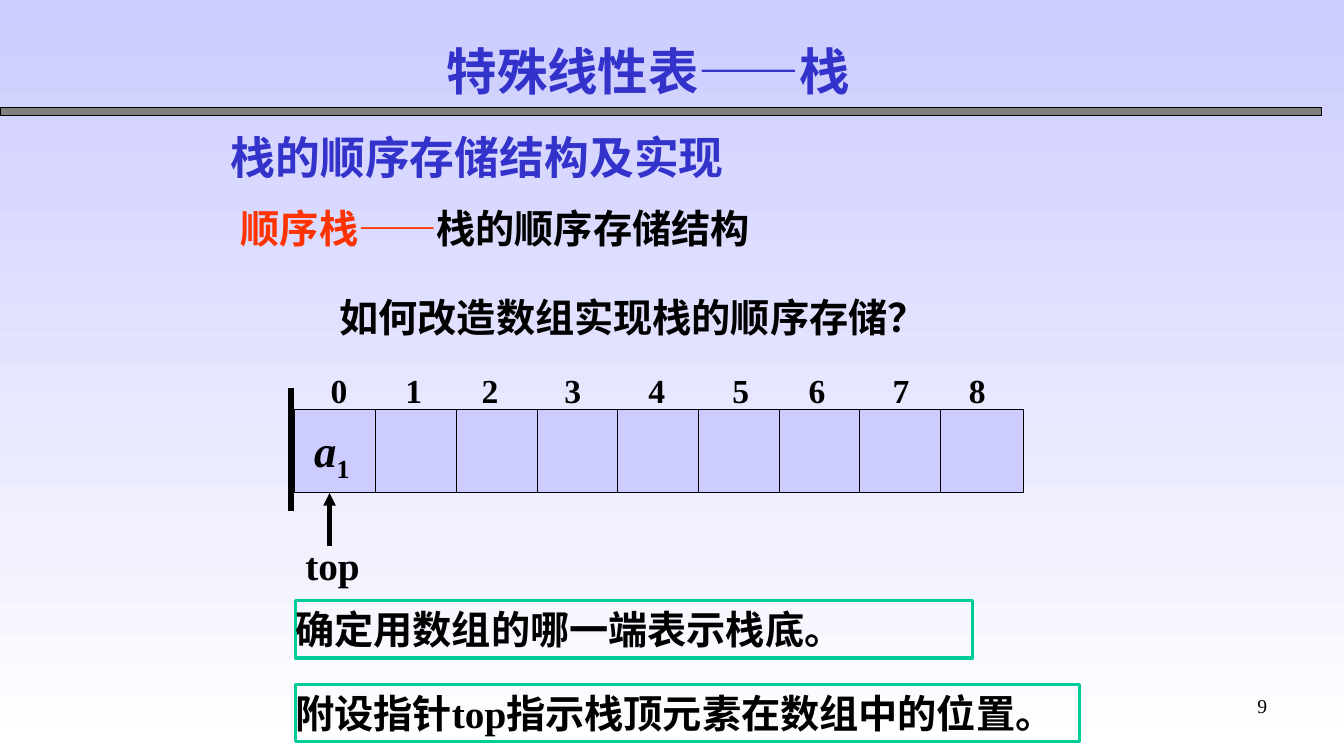
from lxml import etree
from pptx import Presentation
from pptx.dml.color import RGBColor
from pptx.enum import shapes, text
from pptx.oxml.ns import qn
from pptx.util import Pt

BLACK = RGBColor(0, 0, 0)
GRAY = RGBColor(0x80, 0x80, 0x80)
BLUE = RGBColor(0x33, 0x33, 0xCC)
RED = RGBColor(0xFF, 0x33, 0x00)
GREEN = RGBColor(0x00, 0xCC, 0x99)
LAVENDER = RGBColor(0xCC, 0xCC, 0xFF)
WHITE = RGBColor(0xFF, 0xFF, 0xFF)
FONT = "Times New Roman"

# runs, (left, top, width, height), size, colour
TITLE = (["特殊线性表——栈"], (312, 25.2, 337, 50.4), 36, BLUE)
TEXTS = [
    (["栈的顺序存储结构及实现"], (157.7, 89.3, 462.2, 45.4), 32, BLUE),
    (["顺序栈——", "栈的顺序存储结构"], (164.9, 142.6, 426.2, 41), 28, BLACK),
    (["如何改造数组实现栈的顺序存储？"], (235.4, 205.9, 437.8, 41), 28, BLACK),
    (["a", "1"], (217.4, 298.1, 48.2, 45.4), 32, BLACK),
    (["top"], (211, 383, 56.9, 41), 28, BLACK),
]
NOTES = [
    (["确定用数组的哪一端表示栈底。"], (211, 429.1, 483.8, 41), 28, BLACK),
    (["附设指针top指示栈顶元素在数组中的位置。"], (211, 488.9, 560.2, 41), 28, BLACK),
]
PAGE = (["9"], (688.3, 491.8, 223.9, 37.4), 14, BLACK)

INDEX_BOX = (211, 260.6, 527.8, 36)
INDEX_TABS = [24, 77.5, 132, 191, 251, 311, 365.5, 425.5, 480]
ARRAY = (210.2, 292.3, 521.3, 59.8)
FIRST_DIVIDER, CELL_WIDTH = 268.5, 57.6

prs = Presentation()
prs.slide_width, prs.slide_height = Pt(960), Pt(540)
s = prs.slides.add_slide(prs.slide_layouts[6])


def add_text(runs, box, size, color, bold=True):
    sp = s.shapes.add_textbox(*map(Pt, box))
    tf = sp.text_frame
    tf.word_wrap = True
    p = tf.paragraphs[0]
    for run in runs:
        p.add_run().text = run
    p.font.name, p.font.size, p.font.bold = FONT, Pt(size), bold
    p.font.color.rgb = color
    return sp


def add_rect(box, fill):
    sp = s.shapes.add_shape(shapes.MSO_SHAPE.RECTANGLE, *map(Pt, box))
    sp.shadow.inherit = False
    sp.fill.solid()
    sp.fill.fore_color.rgb = fill
    sp.line.color.rgb, sp.line.width = BLACK, Pt(0.75)


def add_line(x, y1, y2, width):
    """Draw a vertical line from y1 to y2."""
    line = s.shapes.add_connector(shapes.MSO_CONNECTOR.STRAIGHT, Pt(x), Pt(y1), Pt(x), Pt(y2))
    line.line.color.rgb, line.line.width = BLACK, Pt(width)
    etree.SubElement(line._element.spPr, qn("a:effectLst"))
    return line


def add_text_shadow(r):
    r.font.color.rgb = BLUE
    effects = etree.SubElement(r._r.get_or_add_rPr(), qn("a:effectLst"))
    shadow = etree.SubElement(effects, qn("a:outerShdw"), dist="38100", dir="2700000")
    etree.SubElement(shadow, qn("a:srgbClr"), val=str(GRAY))


bg = s.background.fill
bg.gradient()
bg.gradient_angle = 270
for stop, color, position in zip(bg.gradient_stops, (LAVENDER, WHITE), (0, 1)):
    stop.color.rgb, stop.position = color, position

add_rect((0, 77, 943.9, 5.8), GRAY)
title = add_text(*TITLE)
add_text_shadow(title.text_frame.paragraphs[0].runs[0])

# The array with its dividers and indexes
add_rect(ARRAY, LAVENDER)
array_top, array_bottom = ARRAY[1], ARRAY[1] + ARRAY[3]
for i in range(len(INDEX_TABS) - 1):
    add_line(FIRST_DIVIDER + i * CELL_WIDTH, array_top, array_bottom, 0.75)
add_line(208.1, 277.2, 365, 4.5)

indexes = add_text(["".join(f"\t{i}" for i in range(len(INDEX_TABS)))], INDEX_BOX, 24, BLACK)
pPr = indexes.text_frame.paragraphs[0]._p.get_or_add_pPr()
tabs = etree.Element(qn("a:tabLst"))
pPr.insert(0, tabs)
for tab in INDEX_TABS:
    etree.SubElement(tabs, qn("a:tab"), pos=str(int(Pt(tab))), algn="ctr")

arrow = add_line(235.4, 390.2, array_bottom, 3)
etree.SubElement(arrow.line._get_or_add_ln(), qn("a:tailEnd"), type="triangle")

heading, definition, question, element, top = [add_text(*item) for item in TEXTS]
definition.text_frame.paragraphs[0].runs[0].font.color.rgb = RED
letter, subscript = element.text_frame.paragraphs[0].runs
letter.font.italic = True
subscript._r.get_or_add_rPr().set("baseline", "-25000")

for item in NOTES:
    note = add_text(*item)
    note.line.color.rgb, note.line.width = GREEN, Pt(2.25)
    note.text_frame.margin_left = note.text_frame.margin_right = 0

page = add_text(*PAGE, bold=False)
page.text_frame.paragraphs[0].alignment = text.PP_ALIGN.RIGHT

prs.save("out.pptx")
